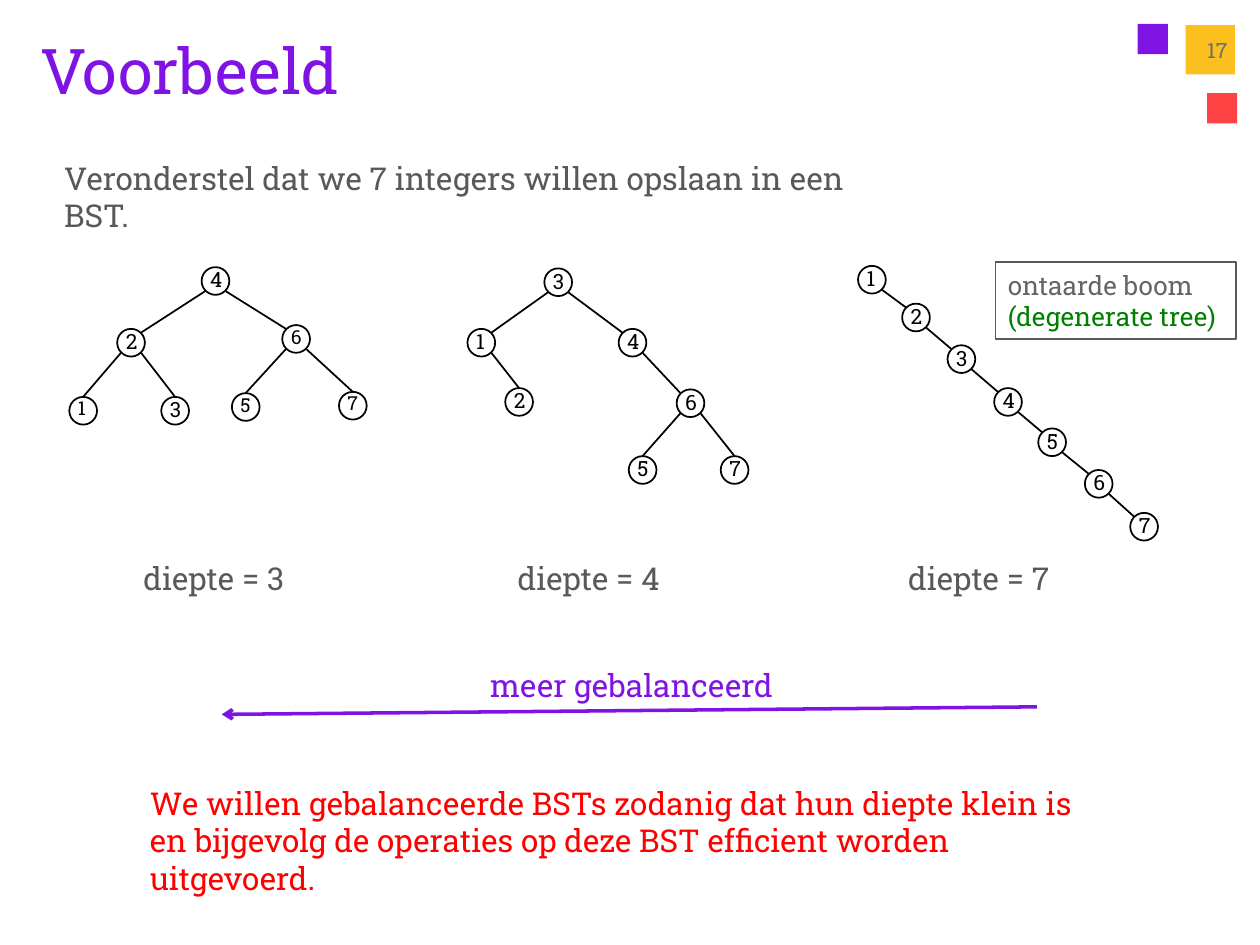
from lxml import etree
from pptx import Presentation
from pptx.dml.color import RGBColor
from pptx.enum.shapes import MSO_CONNECTOR, MSO_SHAPE
from pptx.enum.text import MSO_ANCHOR, PP_ALIGN
from pptx.oxml.ns import qn
from pptx.util import Inches, Pt

STRAIGHT = MSO_CONNECTOR.STRAIGHT
RECTANGLE, OVAL = MSO_SHAPE.RECTANGLE, MSO_SHAPE.OVAL
TOP, MIDDLE = MSO_ANCHOR.TOP, MSO_ANCHOR.MIDDLE
LEFT, RIGHT = PP_ALIGN.LEFT, PP_ALIGN.RIGHT

FONT = "Roboto Slab"
PURPLE = RGBColor(0x7E, 0x13, 0xE3)
CORAL = RGBColor(0xFD, 0x42, 0x44)
YELLOW = RGBColor(0xFB, 0xC0, 0x1E)
RED = RGBColor(0xFF, 0x00, 0x00)
GREEN = RGBColor(0x00, 0x80, 0x00)
BLACK = RGBColor(0x00, 0x00, 0x00)
GREY = RGBColor(0x59, 0x59, 0x59)
MID_GREY = RGBColor(0x65, 0x65, 0x65)
LIGHT_GREY = RGBColor(0x6D, 0x6D, 0x6D)

# Content: lengths in inches
SQUARES = [
    (9.03, 0.19, 0.24, PURPLE),
    (9.58, 0.74, 0.24, CORAL),
    (9.41, 0.20, 0.39, YELLOW),
]
# Each tree: key -> (centre x, centre y, parent key, text size)
TREES = [
    {4: (1.71, 2.23, None, 12), 2: (1.04, 2.72, 4, 12), 6: (2.35, 2.69, 4, 11),
     1: (0.66, 3.26, 2, 11), 3: (1.39, 3.26, 2, 12),
     5: (1.95, 3.23, 6, 11), 7: (2.80, 3.22, 6, 11)},
    {3: (4.43, 2.24, None, 12), 1: (3.82, 2.72, 3, 12), 4: (5.02, 2.72, 3, 12),
     2: (4.12, 3.19, 1, 12), 6: (5.48, 3.20, 4, 12),
     5: (5.10, 3.73, 6, 12), 7: (5.83, 3.73, 6, 12)},
    {1: (6.92, 2.22, None, 12), 2: (7.27, 2.52, 1, 12), 3: (7.63, 2.85, 2, 12),
     4: (8.00, 3.19, 3, 12), 5: (8.35, 3.51, 4, 12),
     6: (8.72, 3.84, 5, 12), 7: (9.08, 4.18, 6, 12)},
]
DEPTHS = [(1.04, "diepte = 3"), (4.01, "diepte = 4"), (7.11, "diepte = 7")]
# Text boxes: left, top, width, height, lines, size, colour
NOTES = [(left, 4.39, 1.39, 0.4, [text], 18, GREY) for left, text in DEPTHS] + [
    (0.41, 1.21, 6.75, 0.4,
     ["Veronderstel dat we 7 integers willen opslaan in een BST."], 18, GREY),
    (3.79, 5.24, 2.5, 0.4, ["meer gebalanceerd"], 18, PURPLE),
    (1.09, 6.17, 7.91, 0.71,
     ["We willen gebalanceerde BSTs zodanig dat hun diepte klein is",
      "en bijgevolg de operaties op deze BST efficient worden uitgevoerd."], 18, RED),
]

RADIUS = 0.11
CORNER = 0.08      # offset of a circle's diagonal point from its centre
LABEL_SIZE = 0.3

deck = Presentation()
deck.slide_width, deck.slide_height = Inches(10), Inches(7.5)
page = deck.slides.add_slide(deck.slide_layouts[5])


def write(shape, lines, size, colors, align=LEFT, anchor=TOP):
    frame = shape.text_frame
    frame.word_wrap = True
    frame.vertical_anchor = anchor
    for index, (line, color) in enumerate(zip(lines, colors)):
        para = frame.paragraphs[0] if index == 0 else frame.add_paragraph()
        para.alignment = align
        span = para.add_run()
        span.text = line
        span.font.name, span.font.size = FONT, Pt(size)
        span.font.color.rgb = color


def add_text(left, top, width, height, lines, size, color, **layout):
    box = page.shapes.add_textbox(*map(Inches, (left, top, width, height)))
    write(box, lines, size, [color] * len(lines), **layout)


def add_outline(kind, left, top, width, height, color, weight):
    shape = page.shapes.add_shape(kind, *map(Inches, (left, top, width, height)))
    shape.shadow.inherit = False
    shape.fill.background()
    shape.line.color.rgb, shape.line.width = color, Pt(weight)
    return shape


def add_line(start, end, color, weight):
    line = page.shapes.add_connector(STRAIGHT, *map(Inches, (*start, *end)))
    line.line.color.rgb, line.line.width = color, Pt(weight)
    etree.SubElement(line._element.spPr, qn("a:effectLst"))
    return line


def add_edge(parent, child):
    (px, py), (cx, cy) = parent, child
    side = 1 if cx > px else -1
    start = (px + side * CORNER, py + CORNER)
    # Steep edges end on top of the child, flatter ones at its diagonal point
    if abs(cx - px) > 0.9 * (cy - py):
        end = (cx - side * CORNER, cy - CORNER)
    else:
        end = (cx, cy - RADIUS)
    add_line(start, end, BLACK, 1)


# Corner squares and page number
for left, top, side, color in SQUARES:
    square = page.shapes.add_shape(RECTANGLE, *map(Inches, (left, top, side, side)))
    square.shadow.inherit = False
    square.fill.solid()
    square.fill.fore_color.rgb = color
    square.line.fill.background()
add_text(9.33, 0.2, 0.51, 0.4, ["17"], 12, LIGHT_GREY, align=RIGHT, anchor=MIDDLE)

# Title
title = page.shapes.title
title.left, title.top, title.width, title.height = map(Inches, (0.22, 0.2, 8.26, 0.84))
write(title, ["Voorbeeld"], 36, [PURPLE])

# Search trees
for tree in TREES:
    for key, (x, y, parent, size) in tree.items():
        if parent is not None:
            add_edge(tree[parent][:2], (x, y))
        add_text(x - 0.14, y - 0.16, LABEL_SIZE, LABEL_SIZE, [str(key)], size, BLACK)
        add_outline(OVAL, x - RADIUS, y - RADIUS, 2 * RADIUS, 2 * RADIUS, BLACK, 1)

# Explanations
for note in NOTES:
    add_text(*note)

# Balance arrow
arrow = add_line((8.23, 5.61), (1.76, 5.67), PURPLE, 2)
etree.SubElement(arrow.line._get_or_add_ln(), qn("a:tailEnd"), type="arrow")

# Degenerate tree label
label = add_outline(RECTANGLE, 7.9, 2.08, 1.91, 0.61, GREY, 0.75)
write(label, ["ontaarde boom", "(degenerate tree)"], 15, [MID_GREY, GREEN], anchor=MIDDLE)

deck.save("out.pptx")
